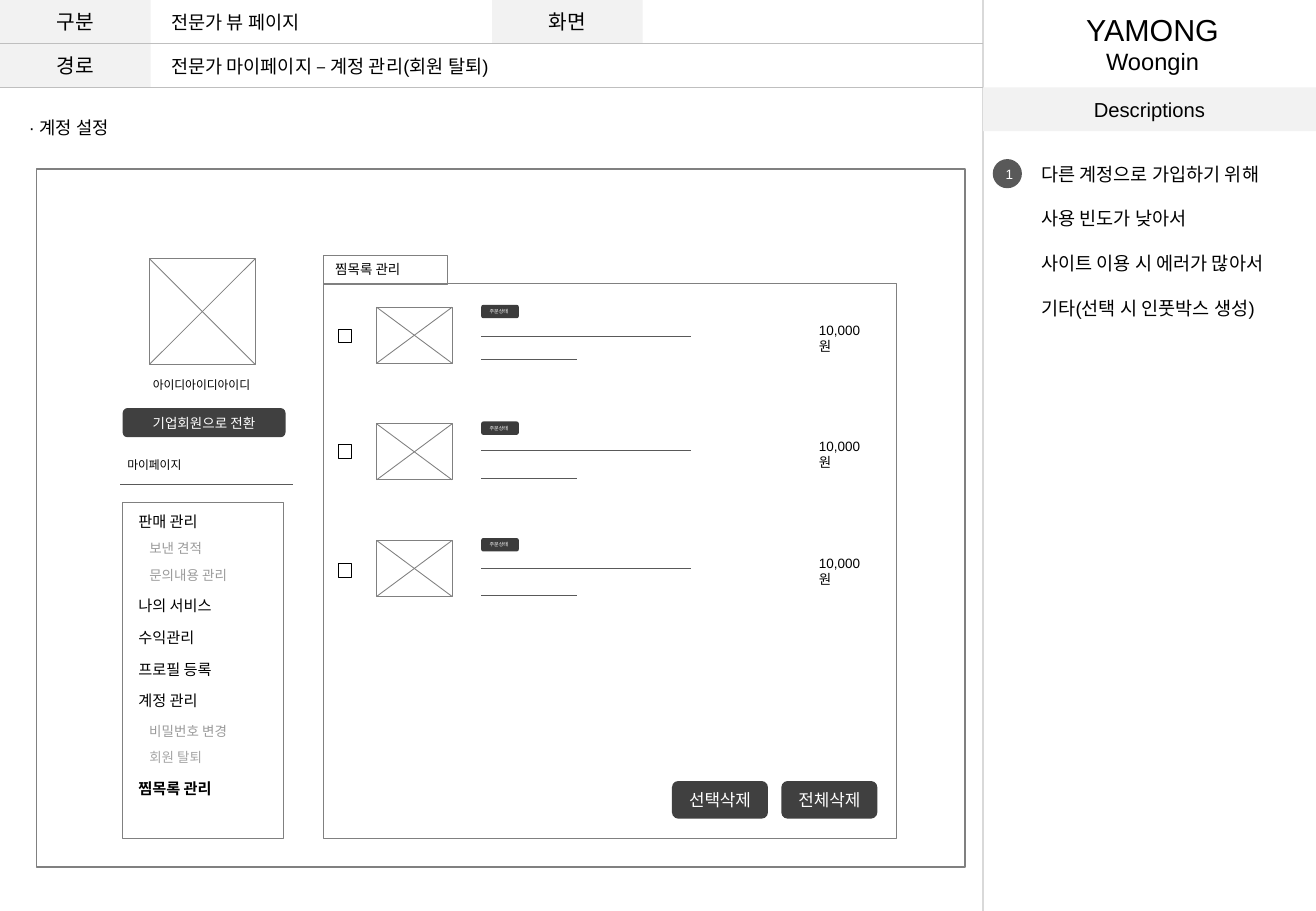
from dataclasses import dataclass

from lxml.etree import SubElement
from pptx import Presentation
from pptx.dml.color import RGBColor
from pptx.enum.shapes import MSO_CONNECTOR, MSO_SHAPE
from pptx.enum.text import MSO_ANCHOR, MSO_AUTO_SIZE, PP_ALIGN
from pptx.oxml.ns import qn
from pptx.util import Inches, Pt

BLACK, WHITE = "000000", "FFFFFF"
BAND, BUTTON, BADGE = "F2F2F2", "404040", "3C3C3C"
HEADER_RULE, SIDE_RULE = "BFBFBF", "D9D9D9"
OUTLINE, RULE, SUBMENU, SUBMENU_LIGHT = "808080", "595959", "9B9B9B", "A6A6A6"
BAND_H, SIDEBAR_LEFT, SLIDE_W, SLIDE_H = 0.36, 8.09, 10.83, 7.5


@dataclass
class Label:
    text: str
    left: float
    top: float
    width: float
    height: float
    size: float
    color: str = BLACK
    bold: bool = False
    wrap: bool = False


@dataclass
class Block:
    left: float
    top: float
    width: float
    height: float
    fill: str = ""
    line: str = ""
    weight: float = 0.5
    kind: MSO_SHAPE = MSO_SHAPE.RECTANGLE
    text: str = ""
    size: float = 12
    color: str = BLACK


@dataclass
class MenuItem:
    text: str
    top: float
    width: float
    color: str = BLACK
    bold: bool = False


@dataclass
class WishRow:
    photo_top: float
    name_rule: float
    detail_rule: float
    checkbox: float


MENU = [
    MenuItem("판매 관리", 4.17, 0.74),
    MenuItem("보낸 견적", 4.4, 0.69, SUBMENU),
    MenuItem("문의내용 관리", 4.62, 0.91, SUBMENU),
    MenuItem("나의 서비스", 4.86, 0.87),
    MenuItem("수익관리", 5.12, 0.71),
    MenuItem("프로필 등록", 5.39, 0.87),
    MenuItem("계정 관리", 5.64, 0.74),
    MenuItem("비밀번호 변경", 5.9, 0.9, SUBMENU),
    MenuItem("회원 탈퇴", 6.12, 0.68, SUBMENU_LIGHT),
    MenuItem("찜목록 관리", 6.37, 0.87, bold=True),
]
WISH_ROWS = [
    WishRow(2.53, 2.77, 2.96, 2.71),
    WishRow(3.49, 3.71, 3.94, 3.66),
    WishRow(4.45, 4.68, 4.9, 4.64),
]
LABELS = [
    Label("전문가 마이페이지 – 계정 관리(회원 탈퇴)", 1.31, 0.4, 3.07, 0.29, 11),
    Label("· 계정 설정", 0.14, 0.91, 0.91, 0.27, 10.5),
    Label("아이디아이디아이디", 1.16, 3.06, 1.33, 0.22, 7, wrap=True),
    Label("마이페이지", 0.95, 3.72, 0.7, 0.22, 7),
    Label("찜목록 관리", 2.66, 2.1, 1.26, 0.23, 8, wrap=True),
]
REASONS = ["다른 계정으로 가입하기 위해", "사용 빈도가 낮아서",
           "사이트 이용 시 에러가 많아서", "기타(선택 시 인풋박스 생성)"]

presentation = Presentation()
presentation.slide_width, presentation.slide_height = Inches(SLIDE_W), Inches(SLIDE_H)
slide = presentation.slides.add_slide(presentation.slide_layouts[5])


def rgb(color: str) -> RGBColor:
    return RGBColor.from_string(color)


def write(paragraph, text: str, size: float, color: str = BLACK,
          bold: bool = False, align: PP_ALIGN = PP_ALIGN.LEFT) -> None:
    run = paragraph.add_run()
    run.text = text
    paragraph.alignment = align
    for name, value in {"name": "Arial", "size": Pt(size), "bold": bold}.items():
        setattr(run.font, name, value)
    run.font.color.rgb = rgb(color)


def set_frame(frame, wrap: bool = False) -> None:
    settings = {"word_wrap": wrap, "auto_size": MSO_AUTO_SIZE.SHAPE_TO_FIT_TEXT,
                "vertical_anchor": MSO_ANCHOR.TOP}
    for name, value in settings.items():
        setattr(frame, name, value)


def add_frame(left: float, top: float, width: float, height: float, wrap: bool = False):
    frame = slide.shapes.add_textbox(*map(Inches, (left, top, width, height))).text_frame
    set_frame(frame, wrap)
    return frame


def add_label(label: Label) -> None:
    frame = add_frame(label.left, label.top, label.width, label.height, label.wrap)
    write(frame.paragraphs[0], label.text, label.size, label.color, label.bold)


def add_block(block: Block) -> None:
    shape = slide.shapes.add_shape(
        block.kind, *map(Inches, (block.left, block.top, block.width, block.height)))
    shape.shadow.inherit = False
    for part, color in ((shape.fill, block.fill), (shape.line.fill, block.line)):
        if color:
            part.solid()
            part.fore_color.rgb = rgb(color)
        else:
            part.background()
    if block.line:
        shape.line.width = Pt(block.weight)
    if block.text:
        shape.text_frame.vertical_anchor = MSO_ANCHOR.MIDDLE
        write(shape.text_frame.paragraphs[0], block.text, block.size, block.color,
              align=PP_ALIGN.CENTER)


def add_rule(x1: float, y1: float, x2: float, y2: float,
             color: str = RULE, weight: float = 0.75) -> None:
    rule = slide.shapes.add_connector(
        MSO_CONNECTOR.STRAIGHT, *map(Inches, (x1, y1, x2, y2)))
    rule.line.color.rgb = rgb(color)
    rule.line.width = Pt(weight)
    SubElement(rule.element.spPr, qn("a:effectLst"))


def add_photo(left: float, top: float, width: float, height: float) -> None:
    right, bottom = left + width, top + height
    add_block(Block(left, top, width, height, line=OUTLINE))
    add_rule(left, bottom, right, top, OUTLINE, 0.5)
    add_rule(right, bottom, left, top, OUTLINE, 0.5)


# Header bands and rules
for heading, left, top in (("구분", 0, 0), ("화면", 4.05, 0), ("경로", 0, BAND_H)):
    add_block(Block(left, top, 1.24, BAND_H, BAND, text=heading))
add_rule(SIDEBAR_LEFT, 0, SIDEBAR_LEFT, SLIDE_H, SIDE_RULE)
for row in (1, 2):
    add_rule(0, row * BAND_H, SIDEBAR_LEFT, row * BAND_H, HEADER_RULE)

page_name = slide.shapes.title
page_area = {"left": 1.31, "top": 0.04, "width": 1.37, "height": 0.29}
for name, value in page_area.items():
    setattr(page_name, name, Inches(value))
set_frame(page_name.text_frame)
write(page_name.text_frame.paragraphs[0], "전문가 뷰 페이지", 11)

# Descriptions sidebar
add_block(Block(SIDEBAR_LEFT, 2 * BAND_H, SLIDE_W - SIDEBAR_LEFT, BAND_H, BAND,
                text="Descriptions"))
project = add_frame(8.83, 0.04, 1.31, 0.63)
write(project.paragraphs[0], "YAMONG", 18, align=PP_ALIGN.CENTER)
write(project.add_paragraph(), "Woongin", 14, align=PP_ALIGN.CENTER)
add_block(Block(8.17, 1.31, 0.24, 0.24, RULE, kind=MSO_SHAPE.OVAL,
                text="1", size=8, color=WHITE))
reasons = add_frame(8.47, 1.29, 2.22, 1.4)
for index, reason in enumerate(REASONS):
    paragraph = reasons.add_paragraph() if index else reasons.paragraphs[0]
    if index:
        paragraph.space_before = Pt(13.3)
    write(paragraph, reason, 11)

# Wireframe outlines: page, wish list, tab, menu
add_block(Block(0.3, 1.39, 7.64, 5.75, line=OUTLINE, weight=1))
for area in ((2.66, 2.33, 4.72, 4.57), (2.66, 2.1, 1.02, 0.24), (1.01, 4.14, 1.32, 2.76)):
    add_block(Block(*area, line=OUTLINE))
for label in LABELS:
    add_label(label)

# Profile and menu
add_photo(1.23, 2.13, 0.87, 0.87)
add_rule(0.99, 3.99, 2.41, 3.99)
for item in MENU:
    is_main = item.color == BLACK
    add_label(Label(item.text, 1.04 if is_main else 1.13, item.top, item.width, 0.24,
                    9 if is_main else 8, item.color, item.bold))

# Wish list rows
for row in WISH_ROWS:
    top = row.photo_top
    add_block(Block(2.78, row.checkbox, 0.11, 0.11, line=BLACK, weight=0.25))
    add_photo(3.1, top, 0.62, 0.46)
    add_block(Block(3.96, top - 0.02, 0.31, 0.11, BADGE, kind=MSO_SHAPE.ROUNDED_RECTANGLE))
    add_label(Label("주문상태", 3.93, top - 0.04, 0.38, 0.15, 3, WHITE))
    add_rule(3.96, row.name_rule, 5.69, row.name_rule)
    add_rule(3.96, row.detail_rule, 4.75, row.detail_rule)
    add_label(Label("10,000원", 6.64, top + 0.07, 0.6, 0.36, 8, wrap=True))

# Buttons
for caption, left, top, width, height, size in (
        ("기업회원으로 전환", 1.01, 3.36, 1.34, 0.24, 8),
        ("선택삭제", 5.53, 6.43, 0.79, 0.31, 10),
        ("전체삭제", 6.43, 6.43, 0.79, 0.31, 10)):
    add_block(Block(left, top, width, height, BUTTON, kind=MSO_SHAPE.ROUNDED_RECTANGLE,
                    text=caption, size=size, color=WHITE))

presentation.save("out.pptx")
